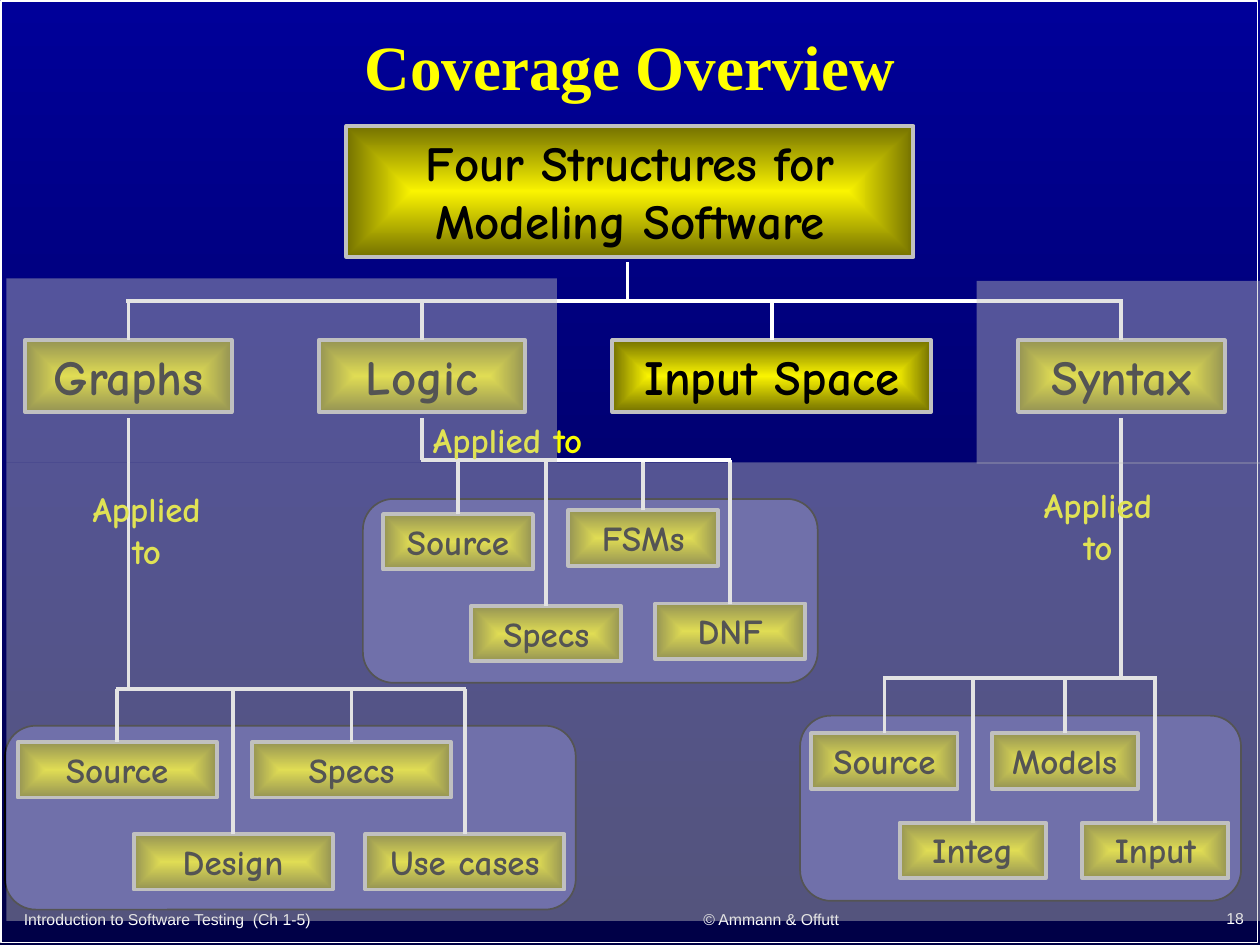
import pptx
import pptx.dml.color
import pptx.enum.shapes
import pptx.enum.text
import pptx.oxml
import pptx.oxml.ns
import pptx.util

RECT = pptx.enum.shapes.MSO_SHAPE.RECTANGLE
ROUNDED = pptx.enum.shapes.MSO_SHAPE.ROUNDED_RECTANGLE
STRAIGHT = pptx.enum.shapes.MSO_CONNECTOR.STRAIGHT
ALIGN = pptx.enum.text.PP_ALIGN
ANCHOR = pptx.enum.text.MSO_ANCHOR
RGB = pptx.dml.color.RGBColor.from_string
NS = 'xmlns:a="http://schemas.openxmlformats.org/drawingml/2006/main"'

# Colours, type sizes and line widths
GLOW = ("FAF400", "747100")
COMIC = {"name": "Comic Neue", "bold": True}
SMALL = {"name": "Arial", "size": pptx.util.Pt(9)}
THEME = {
    "sky": ("000099", "000047"),
    "rule": ("FFFFFF", 2.25),
    "frame": {"line": ("FFFFFF", 1)},
    "title": {"font": {"name": "Times New Roman", "size": pptx.util.Pt(36), "bold": True},
              "ink": "FFFF00", "anchor": ANCHOR.MIDDLE, "spacing": 0.9},
    "structure": {"glow": GLOW, "line": ("C0C0C0", 2.25), "ink": "000000",
                  "font": COMIC | {"size": pptx.util.Pt(28)}},
    "leaf": {"glow": GLOW, "line": ("C0C0C0", 2.25), "ink": "000000",
             "font": COMIC | {"size": pptx.util.Pt(20)}},
    "caption": {"ink": "FAFD00", "font": COMIC | {"size": pptx.util.Pt(20)}},
    "panel": {"fill": "333399", "line": ("000000", 1)},
    "veil": {"fill": "C0C0C0", "alpha": 44},
    "footer": {"ink": "FFFFFF", "font": SMALL, "anchor": ANCHOR.BOTTOM},
}

prs = pptx.Presentation()
prs.slide_width = pptx.util.Inches(10)
prs.slide_height = pptx.util.Inches(7.5)
CELL = prs.slide_width / 100  # grid of 100 columns by 75 rows
slide = prs.slides.add_slide(prs.slide_layouts[5])
shapes = slide.shapes


def dress(shape, at, look, text=None, align=ALIGN.CENTER):
    """Place a shape on the grid, then give it its fill, line and text."""
    for side, cells in zip(("left", "top", "width", "height"), at):
        setattr(shape, side, round(cells * CELL))
    if shape.shape_type == pptx.enum.shapes.MSO_SHAPE_TYPE.AUTO_SHAPE:
        shape.shadow.inherit = False
        shape.fill.background()
        shape.line.fill.background()
    if "fill" in look:
        shape.fill.solid()
        shape.fill.fore_color.rgb = RGB(look["fill"])
    if "alpha" in look:
        tint = shape._element.spPr.find(".//" + pptx.oxml.ns.qn("a:srgbClr"))
        tint.append(pptx.oxml.parse_xml(f'<a:alpha {NS} val="{look["alpha"] * 1000}"/>'))
    if "glow" in look:
        shape.fill.gradient()
        for stop, colour in zip(shape.fill.gradient_stops, look["glow"]):
            stop.color.rgb = RGB(colour)
        linear = shape._element.spPr.find(".//" + pptx.oxml.ns.qn("a:lin"))
        linear.getparent().replace(linear, pptx.oxml.parse_xml(
            f'<a:path {NS} path="rect"><a:fillToRect l="50000" t="50000" '
            'r="50000" b="50000"/></a:path>'))
    if "line" in look:
        colour, width = look["line"]
        shape.line.color.rgb = RGB(colour)
        shape.line.width = pptx.util.Pt(width)
    if text:
        frame = shape.text_frame
        frame.word_wrap = True
        frame.auto_size = pptx.enum.text.MSO_AUTO_SIZE.NONE
        frame.vertical_anchor = look.get("anchor", ANCHOR.TOP)
        paragraph = frame.paragraphs[0]
        paragraph.text = text
        paragraph.alignment = align
        paragraph.line_spacing = look.get("spacing", 1.0)
        font = paragraph.runs[0].font
        for attribute, value in look["font"].items():
            setattr(font, attribute, value)
        font.color.rgb = RGB(look["ink"])


def rule(x1, y1, x2, y2):
    """Draw one straight tree line between two grid points."""
    branch_line = shapes.add_connector(STRAIGHT, *(round(v * CELL) for v in (x1, y1, x2, y2)))
    colour, width = THEME["rule"]
    branch_line.line.color.rgb = RGB(colour)
    branch_line.line.width = pptx.util.Pt(width)
    branch_line._element.spPr.append(pptx.oxml.parse_xml(f"<a:effectLst {NS}/>"))


# Background and page frame
sky = slide.background.fill
sky.gradient()
sky.gradient_angle = 270
for stop, colour in zip(sky.gradient_stops, THEME["sky"]):
    stop.color.rgb = RGB(colour)
dress(shapes.add_shape(RECT, 0, 0, 0, 0), (0.1, 0.1, 99.7, 74.7), THEME["frame"])

# Footer
for text, at, align in [
    ("Introduction to Software Testing  (Ch 1-5)", (0.9, 71.3, 42.8, 2.9), ALIGN.LEFT),
    ("© Ammann & Offutt", (45.3, 71.2, 31.8, 3), ALIGN.CENTER),
    ("18", (78.9, 71.1, 20.8, 3), ALIGN.RIGHT),
]:
    dress(shapes.add_textbox(0, 0, 0, 0), at, THEME["footer"], text, align)

# Title and root of the tree
dress(shapes.title, (7.5, 0.6, 85, 10), THEME["title"], "Coverage Overview")
dress(shapes.add_shape(RECT, 0, 0, 0, 0), (27.5, 10, 45, 10.4), THEME["structure"],
      "Four Structures for Modeling Software")

# The four structures, hung from one bar
BAR, STRUCTURE_TOP = 23.9, 27
centres = {}
for name, left, width in [("Graphs", 2, 16.4), ("Logic", 25.3, 16.4),
                          ("Input Space", 48.6, 25.3), ("Syntax", 80.8, 16.4)]:
    dress(shapes.add_shape(RECT, 0, 0, 0, 0), (left, STRUCTURE_TOP, width, 5.7),
          THEME["structure"], name)
    centres[name] = left + width / 2
    rule(centres[name], BAR, centres[name], STRUCTURE_TOP)
rule(centres["Graphs"] - 0.2, BAR, centres["Syntax"] + 0.1, BAR)
rule(49.8, 20.8, 49.8, BAR)

# What each structure is applied to: panel, leaves with drops, stem, caption
STEM_TOP, LEAF_HEIGHT = 33.2, 4.4
branches = [
    {"of": "Graphs", "panel": (0.4, 57.6, 45.3, 14.6), "bar": 54.7, "leaf_width": 15.8,
     "caption": (5.5, 38.2, 12.3, 7.7),
     "leaves": [("Source", 1.4, 58.9), ("Design", 10.6, 66.2),
                ("Specs", 20, 58.9), ("Use cases", 29, 66.2)]},
    {"of": "Logic", "panel": (28.8, 39.6, 36.1, 14.6), "bar": 36.5, "leaf_width": 11.9,
     "caption": (31.6, 32.7, 17.4, 4.4),
     "leaves": [("Source", 30.4, 40.8), ("Specs", 37.4, 48.1),
                ("FSMs", 45.1, 40.5), ("DNF", 52, 47.9)]},
    {"of": "Syntax", "panel": (63.5, 56.8, 35, 14.7), "bar": 53.8, "leaf_width": 11.6,
     "caption": (81, 37.9, 12.3, 7.7),
     "leaves": [("Source", 64.4, 58.2), ("Integ", 71.4, 65.3),
                ("Models", 78.7, 58.2), ("Input", 85.9, 65.3)]},
]
for branch in branches:
    stem, bar, width = centres[branch["of"]], branch["bar"], branch["leaf_width"]
    dress(shapes.add_shape(ROUNDED, 0, 0, 0, 0), branch["panel"], THEME["panel"])
    reach = [stem]
    for name, left, top in branch["leaves"]:
        dress(shapes.add_shape(RECT, 0, 0, 0, 0), (left, top, width, LEAF_HEIGHT),
              THEME["leaf"], name)
        reach.append(left + width / 2)
        rule(reach[-1], bar, reach[-1], top)
    rule(min(reach) - 0.1, bar, max(reach) + 0.1, bar)
    rule(stem, STEM_TOP, stem, bar)
    dress(shapes.add_textbox(0, 0, 0, 0), branch["caption"], THEME["caption"], "Applied to")

# Veils that leave only Input Space in full colour
for at in [(0.5, 22.1, 43.7, 14.6), (0.5, 36.7, 99.5, 36.4), (77.5, 22.3, 22.5, 14.5)]:
    dress(shapes.add_shape(RECT, 0, 0, 0, 0), at, THEME["veil"])

prs.save("out.pptx")
